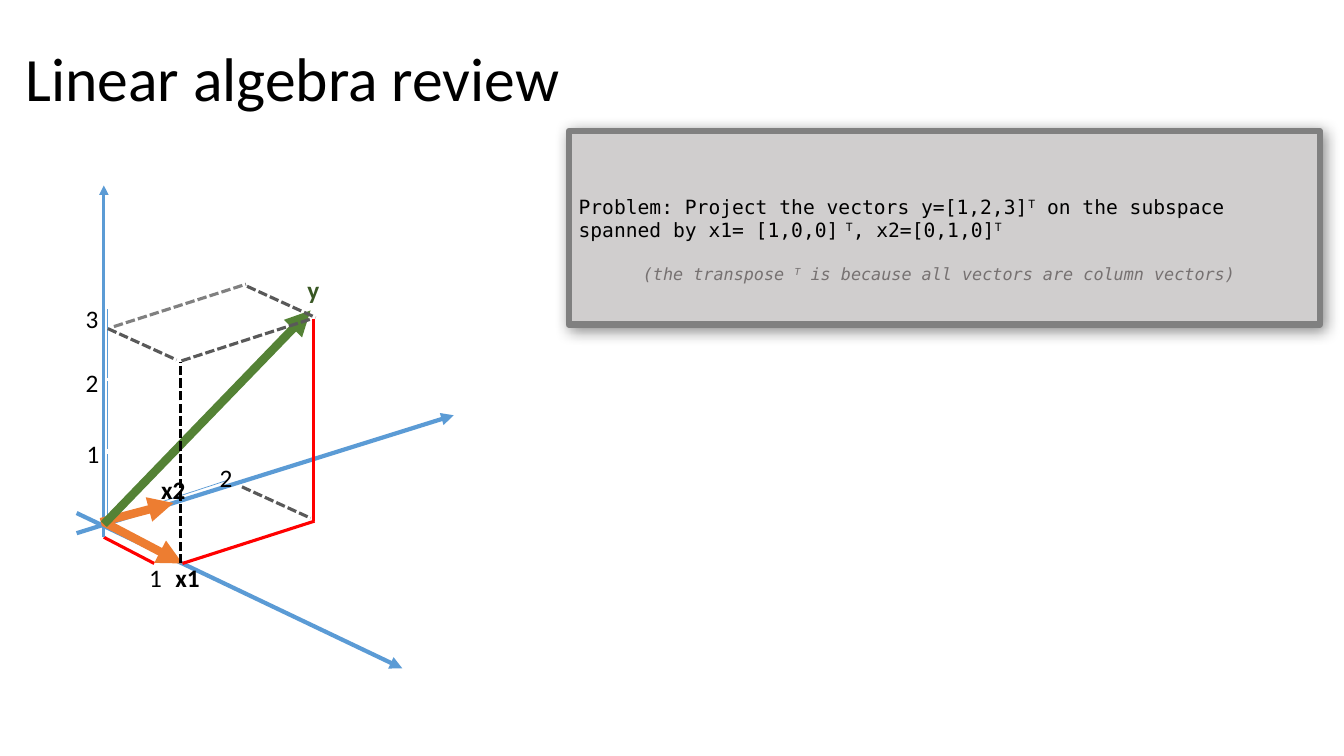
import pptx
import pptx.util
import pptx.dml.color
import pptx.enum.dml
import pptx.enum.shapes
import pptx.enum.text
import pptx.oxml
import pptx.oxml.ns
from dataclasses import dataclass
from lxml import etree

Inches = pptx.util.Inches
Pt = pptx.util.Pt
ALIGN = pptx.enum.text.PP_ALIGN
MIDDLE = pptx.enum.text.MSO_ANCHOR.MIDDLE


@dataclass
class Theme:
    black: str = "000000"
    panel: str = "D0CECE"
    border: str = "808080"
    note: str = "767171"
    axis: str = "5B9BD5"
    path_red: str = "FF0000"
    basis: str = "ED7D31"
    target: str = "548235"
    target_label: str = "385723"
    edge: str = "595959"
    sans: str = "Calibri"
    mono: str = "DejaVu Sans Mono"
    title_size: float = 44
    problem_size: float = 14
    note_size: float = 12
    label_size: float = 18
    border_width: float = 4.5
    vector_width: float = 6
    axis_width: float = 3
    edge_width: float = 2.25
    tick_width: float = 0.5


theme = Theme()

TITLE = "Linear algebra review"
PROBLEM = [
    [("Problem: Project the vectors y=[1,2,3]", False), ("T", True), (" on the subspace ", False)],
    [("spanned by x1= [1,0,0]", False), (" T", True), (", x2=[0,1,0]", False), ("T", True)],
]
NOTE = [[("(the transpose ", False), ("T", True), (" is because all vectors are column vectors) ", False)]]

STYLES = {
    "axis": (theme.axis, theme.axis_width, True, False),
    "height axis": (theme.axis, theme.edge_width, True, False),
    "tick": (theme.axis, theme.tick_width, False, False),
    "route": (theme.path_red, theme.edge_width, False, False),
    "basis": (theme.basis, theme.vector_width, True, False),
    "target": (theme.target, theme.vector_width, True, False),
    "edge": (theme.edge, theme.edge_width, False, True),
    "back edge": (theme.border, theme.edge_width, False, True),
    "front edge": (theme.black, theme.edge_width, False, True),
}
LINES = [
    ("axis", (0.76, 5.09), (3.99, 6.63)),
    ("axis", (0.76, 5.29), (4.5, 4.12)),
    ("route", (1.03, 5.33), (1.53, 5.59)),
    ("tick", (1.03, 5.17), (1.63, 4.97)),
    ("tick", (1.63, 4.97), (2.24, 4.77)),
    ("height axis", (1.03, 5.33), (1.03, 1.84)),
    ("tick", (1.06, 5.18), (1.06, 4.5)),
    ("tick", (1.06, 4.45), (1.06, 3.78)),
    ("tick", (1.06, 3.75), (1.06, 3.07)),
    ("basis", (1.03, 5.18), (1.81, 5.59)),
    ("basis", (1, 5.18), (1.72, 4.99)),
    ("target", (1.03, 5.2), (3.08, 3.08)),
    ("route", (1.81, 5.59), (3.12, 5.17)),
    ("route", (3.11, 5.17), (3.11, 3.16)),
    ("edge", (2.4, 4.83), (3.08, 5.14)),
    ("edge", (1.07, 3.26), (1.75, 3.57)),
    ("edge", (1.8, 3.58), (3.1, 3.16)),
    ("edge", (2.45, 2.84), (3.13, 3.15)),
    ("back edge", (1.13, 3.24), (2.44, 2.82)),
    ("front edge", (1.79, 5.59), (1.79, 3.59)),
]
LABELS = [
    ("1", 1.38, 5.53, False, theme.black),
    ("2", 2.08, 4.54, False, theme.black),
    ("1", 0.76, 4.3, False, theme.black),
    ("2", 0.75, 3.59, False, theme.black),
    ("3", 0.75, 2.96, False, theme.black),
    ("x1", 1.64, 5.53, True, theme.black),
    ("y", 2.95, 2.67, True, theme.target_label),
    ("x2", 1.5, 4.66, True, theme.black),
]
LABEL_SIZE = (0.49, 0.4)


def rgb(color):
    return pptx.dml.color.RGBColor.from_string(color)


def add_sub(parent, tag, **attributes):
    return etree.SubElement(parent, pptx.oxml.ns.qn(tag), attributes)


def format_run(r, font, size, color, bold=False, italic=False):
    r.font.name = font
    r.font.size = Pt(size)
    r.font.color.rgb = rgb(color)
    r.font.bold = bold
    r.font.italic = italic


def add_line(s, style, start, end):
    color, width, arrow, dashed = STYLES[style]
    line = s.shapes.add_connector(
        pptx.enum.shapes.MSO_CONNECTOR.STRAIGHT, *map(Inches, start + end))
    line.line.color.rgb = rgb(color)
    line.line.width = Pt(width)
    if dashed:
        line.line.dash_style = pptx.enum.dml.MSO_LINE.SQUARE_DOT
    if arrow:
        add_sub(line.line._get_or_add_ln(), "a:tailEnd", type="triangle")
    add_sub(line._element.spPr, "a:effectLst")


def add_label(s, text, left, top, bold, color):
    sp = s.shapes.add_textbox(*map(Inches, (left, top) + LABEL_SIZE))
    tf = sp.text_frame
    tf.word_wrap = True
    tf.text = text
    format_run(tf.paragraphs[0].runs[0], theme.sans, theme.label_size, color, bold)


def fill_paragraph(p, rows, size, color, italic=False):
    for i, row in enumerate(rows):
        if i:
            p.add_line_break()
        for text, raised in row:
            r = p.add_run()
            r.text = text
            format_run(r, theme.mono, size, color, italic=italic)
            if raised:
                r.font._element.set("baseline", "30000")


def add_shadow(sp):
    sp.shadow.inherit = False
    effects = sp._element.spPr.find(pptx.oxml.ns.qn("a:effectLst"))
    shadow = add_sub(effects, "a:outerShdw", blurRad=str(Pt(10.7)), dist=str(Pt(3)),
                     dir="2700000", algn="tl", rotWithShape="0")
    color = add_sub(shadow, "a:srgbClr", val=theme.black)
    add_sub(color, "a:alpha", val="45000")


def add_title(s):
    sp = s.shapes.title
    sp.left, sp.top, sp.width, sp.height = map(Inches, (0.15, 0.08, 11.5, 1.45))
    tf = sp.text_frame
    tf.text = TITLE
    tf.vertical_anchor = MIDDLE
    p = tf.paragraphs[0]
    p.alignment = ALIGN.LEFT
    p.line_spacing = 0.9
    format_run(p.runs[0], theme.sans, theme.title_size, theme.black)


def add_problem(s):
    sp = s.shapes.add_shape(pptx.enum.shapes.MSO_SHAPE.RECTANGLE,
                            *map(Inches, (5.64, 1.3, 7.45, 1.92)))
    sp.fill.solid()
    sp.fill.fore_color.rgb = rgb(theme.panel)
    sp.line.color.rgb = rgb(theme.border)
    sp.line.width = Pt(theme.border_width)
    add_shadow(sp)
    tf = sp.text_frame
    tf.word_wrap = True
    tf.vertical_anchor = MIDDLE
    tf.margin_top = Inches(0.28)
    p = tf.paragraphs[0]
    p.alignment = ALIGN.LEFT
    fill_paragraph(p, PROBLEM, theme.problem_size, theme.black)
    p = tf.add_paragraph()
    p.alignment = ALIGN.CENTER
    p.space_before = Pt(16)
    fill_paragraph(p, NOTE, theme.note_size, theme.note, italic=True)


def main():
    prs = pptx.Presentation()
    prs.slide_width, prs.slide_height = Inches(13.33), Inches(7.5)
    s = prs.slides.add_slide(prs.slide_layouts[5])
    add_title(s)
    add_problem(s)
    for line in LINES:
        add_line(s, *line)
    for label in LABELS:
        add_label(s, *label)
    prs.save("out.pptx")


if __name__ == "__main__":
    main()
